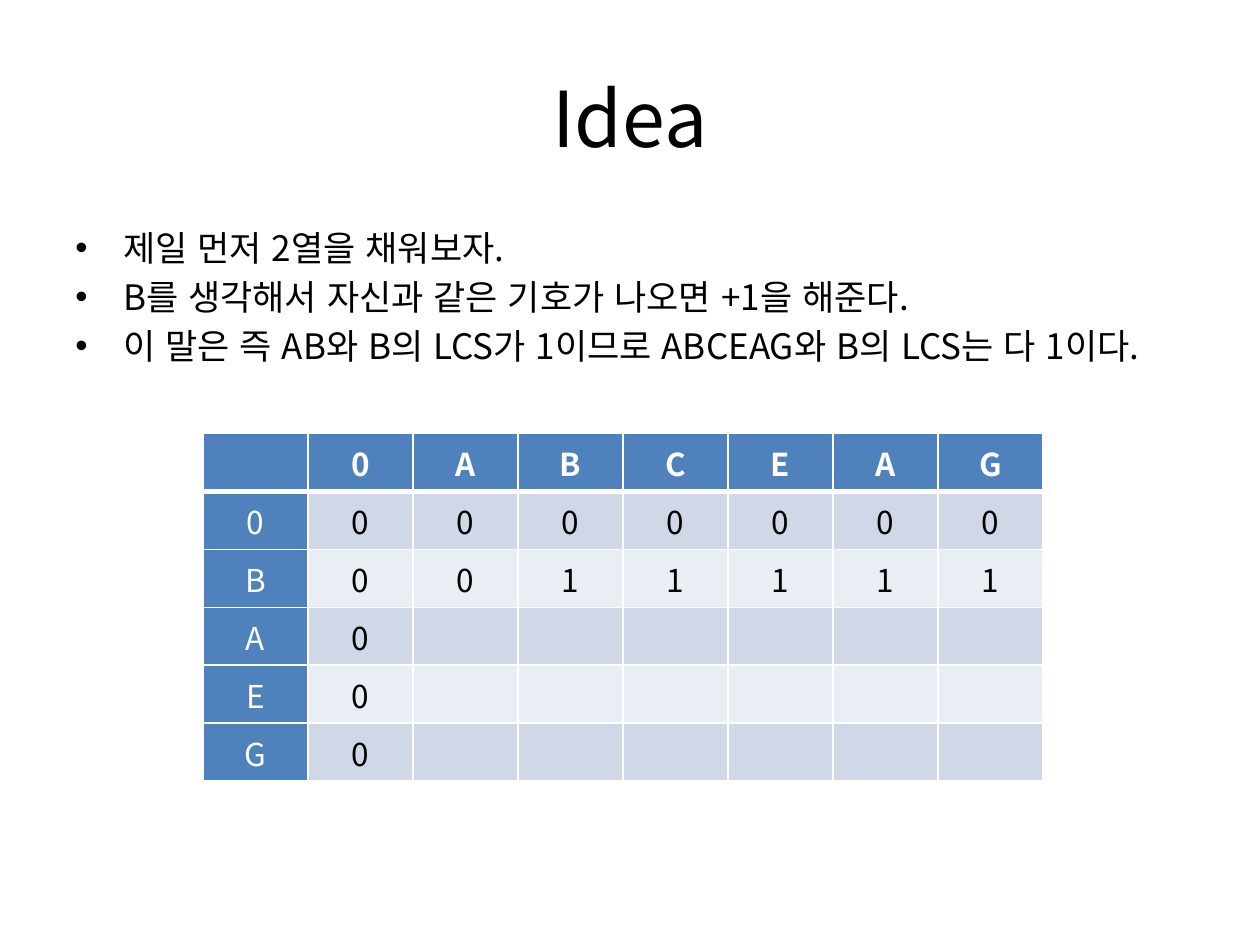
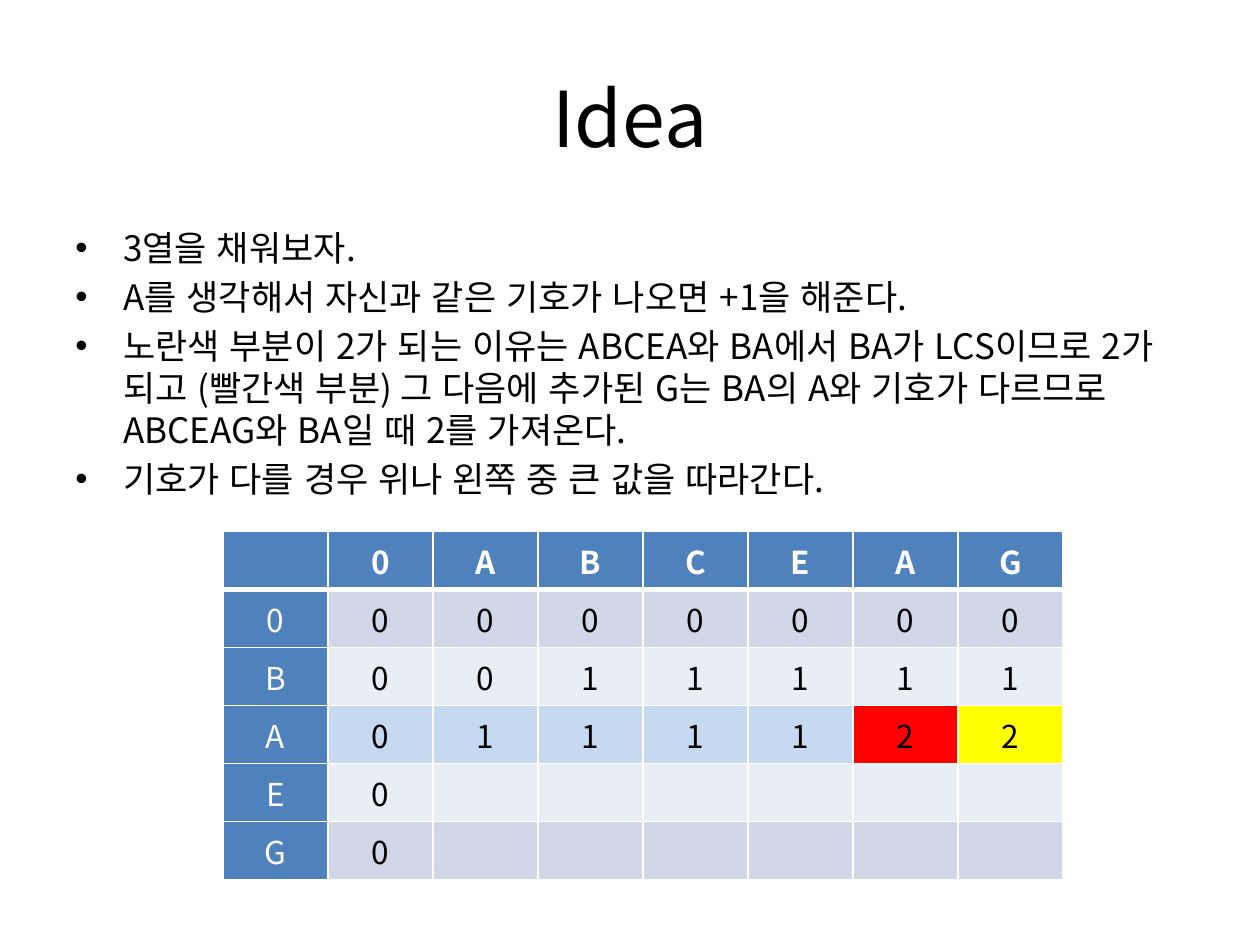
from lxml.etree import SubElement
from pptx import Presentation
from pptx.dml.color import RGBColor
from pptx.enum.lang import MSO_LANGUAGE_ID
from pptx.enum.text import MSO_ANCHOR, PP_ALIGN
from pptx.oxml.ns import qn
from pptx.util import Inches, Pt

FONT = "Noto Sans CJK KR"
BLACK, WHITE = "000000", "FFFFFF"
HEADER = "4F81BD"
BANDS = ("D0D8E8", "E9EDF4")
CURRENT, SOURCE, RESULT = "C6D9F1", "FF0000", "FFFF00"
TABLE_WIDTH, ROW_HEIGHT = 6.67, 0.46
THIN, THICK = 1, 3
INDENT = 0.38

COLUMN_SYMBOLS = "0ABCEAG"
ROW_SYMBOLS = "0BAEG"

SLIDES = [
    {
        "title": "Idea",
        "bullets": [
            "제일 먼저 2열을 채워보자.",
            "B를 생각해서 자신과 같은 기호가 나오면 +1을 해준다.",
            "이 말은 즉 AB와 B의 LCS가 1이므로 ABCEAG와 B의 LCS는 다 1이다.",
        ],
        "table_at": (1.61, 3.44),
        "lengths": ["0000000", "0011111", "0", "0", "0"],
        "highlights": {},
    },
    {
        "title": "Idea",
        "bullets": [
            "3열을 채워보자.",
            "A를 생각해서 자신과 같은 기호가 나오면 +1을 해준다.",
            "노란색 부분이 2가 되는 이유는 ABCEA와 BA에서 BA가 LCS이므로 2가 되고 "
            "(빨간색 부분) 그 다음에 추가된 G는 BA의 A와 기호가 다르므로 "
            "ABCEAG와 BA일 때 2를 가져온다.",
            "기호가 다를 경우 위나 왼쪽 중 큰 값을 따라간다.",
        ],
        "table_at": (1.77, 4.22),
        "lengths": ["0000000", "0011111", "0111122", "0", "0"],
        "highlights": {3: [CURRENT] * 5 + [SOURCE, RESULT]},
    },
]


def rgb(color):
    return RGBColor.from_string(color)


def format_runs(p, size, color, bold=False):
    for r in p.runs:
        r.font.size, r.font.bold, r.font.name = Pt(size), bold, FONT
        r.font.language_id = MSO_LANGUAGE_ID.KOREAN
        r.font.color.rgb = rgb(color)
        SubElement(r._r.get_or_add_rPr(), qn("a:ea"), typeface=FONT)


def add_text_box(s, left, top, width, height):
    tf = s.shapes.add_textbox(*map(Inches, (left, top, width, height))).text_frame
    tf.word_wrap = True
    return tf


def add_title(s, text):
    tf = add_text_box(s, 0.5, 0.3, 9, 1.25)
    tf.vertical_anchor = MSO_ANCHOR.MIDDLE
    p = tf.paragraphs[0]
    p.text = text
    p.alignment = PP_ALIGN.CENTER
    format_runs(p, 44, BLACK)


def add_bullets(s, lines):
    tf = add_text_box(s, 0.5, 1.75, 9, 4.95)
    tf.text = "\n".join(lines)
    for p in tf.paragraphs:
        p.space_before = Pt(4)
        pPr = p._p.get_or_add_pPr()
        pPr.set("marL", str(Inches(INDENT)))
        pPr.set("indent", str(-Inches(INDENT)))
        SubElement(pPr, qn("a:buFont"), typeface="Arial")
        SubElement(pPr, qn("a:buChar"), char="•")
        format_runs(p, 20, BLACK)


def set_borders(cell, top, bottom):
    tcPr = cell._tc.get_or_add_tcPr()
    for side, width in (("L", THIN), ("R", THIN), ("T", top), ("B", bottom)):
        ln = SubElement(tcPr, qn(f"a:ln{side}"), w=str(Pt(width)))
        SubElement(SubElement(ln, qn("a:solidFill")), qn("a:srgbClr"), val=WHITE)


def add_lcs_table(s, left, top, lengths, highlights):
    """Draw the LCS length grid; highlights maps a row to its fills."""
    grid = [" " + COLUMN_SYMBOLS]
    grid += [symbol + row for symbol, row in zip(ROW_SYMBOLS, lengths)]
    n_rows, n_cols = len(grid), len(grid[0])
    table = s.shapes.add_table(
        n_rows, n_cols, Inches(left), Inches(top),
        Inches(TABLE_WIDTH), Inches(ROW_HEIGHT * n_rows)).table
    for i, values in enumerate(grid):
        for j, value in enumerate(values.ljust(n_cols)):
            cell = table.cell(i, j)
            is_header = i == 0 or j == 0
            if is_header:
                fill = HEADER
            elif i in highlights:
                fill = highlights[i][j - 1]
            else:
                fill = BANDS[(i - 1) % 2]
            set_borders(cell, THICK if i == 1 else THIN, THICK if i == 0 else THIN)
            cell.fill.solid()
            cell.fill.fore_color.rgb = rgb(fill)
            p = cell.text_frame.paragraphs[0]
            p.alignment = PP_ALIGN.CENTER
            if value.strip():
                p.text = value
                format_runs(p, 18, WHITE if is_header else BLACK, bold=i == 0)


def main():
    prs = Presentation()
    prs.slide_width, prs.slide_height = Inches(10), Inches(7.5)
    for content in SLIDES:
        s = prs.slides.add_slide(prs.slide_layouts[6])
        add_title(s, content["title"])
        add_bullets(s, content["bullets"])
        add_lcs_table(s, *content["table_at"], content["lengths"], content["highlights"])
    prs.save("out.pptx")


if __name__ == "__main__":
    main()
